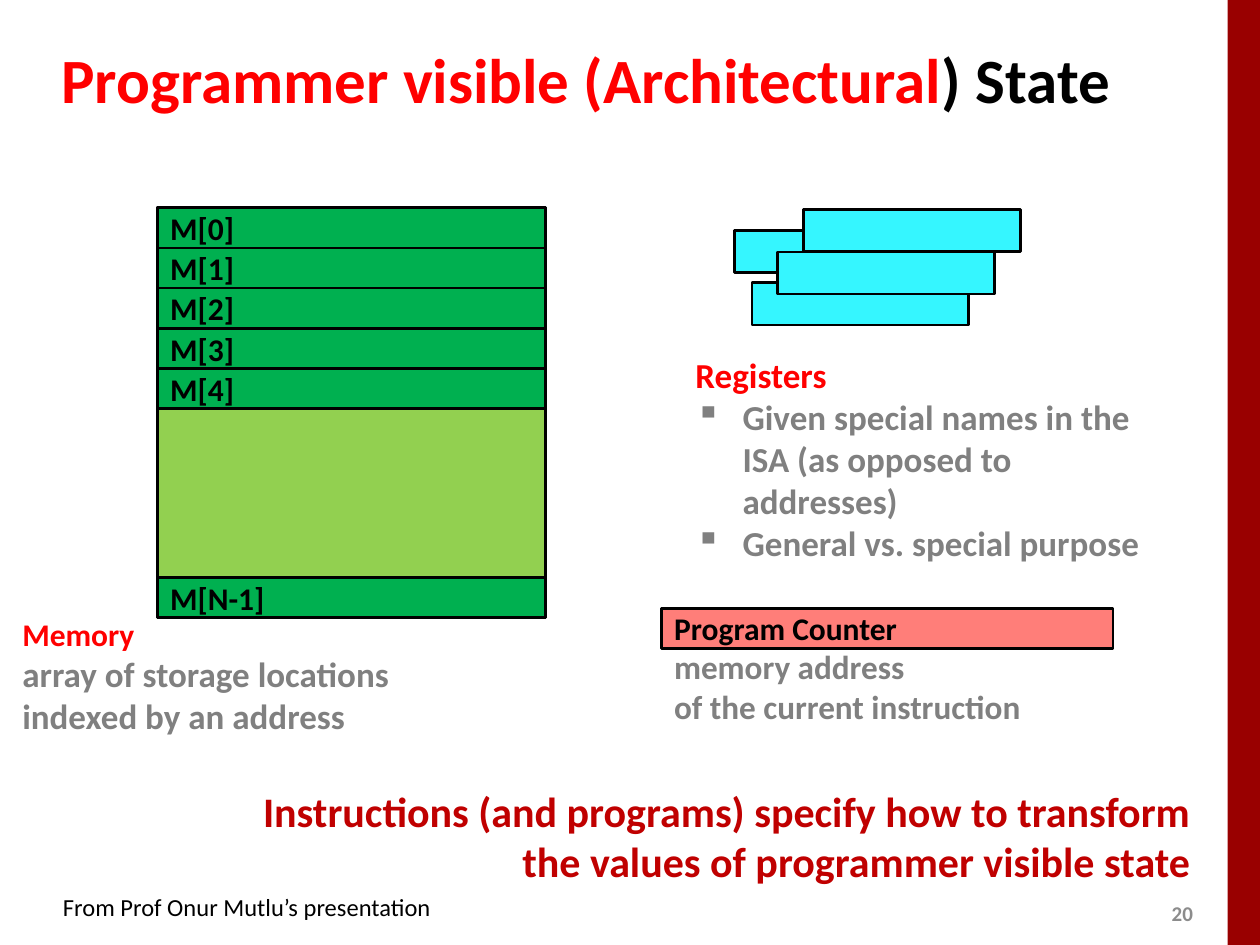
from pptx import Presentation
from pptx.util import Cm, Pt
from pptx.dml.color import RGBColor
from pptx.enum.shapes import MSO_SHAPE
from pptx.enum.text import MSO_ANCHOR, PP_ALIGN
from lxml.etree import SubElement
from pptx.oxml.ns import qn

RED, GRAY, BLACK = "FF0000", "808080", "000000"
GREEN, LIME, CYAN, PINK = "00B050", "92D050", "35F6FF", "FF7E79"


def rgb(code):
    return RGBColor.from_string(code)


def write(shape, lines, size=18, bold=True, wrap=True, align=PP_ALIGN.LEFT,
          anchor=MSO_ANCHOR.TOP, inset=(0.25, 0.13, 0.25, 0.13), bullets=()):
    """Each line is a list of runs: (text, colour) or (text, colour, size)."""
    frame = shape.text_frame
    frame.word_wrap = wrap
    frame.vertical_anchor = anchor
    (frame.margin_left, frame.margin_top,
     frame.margin_right, frame.margin_bottom) = map(Cm, inset)
    for i, line in enumerate(lines):
        para = frame.paragraphs[0] if i == 0 else frame.add_paragraph()
        para.alignment = align
        if i in bullets:
            props = para._p.get_or_add_pPr()
            props.set("marL", str(Cm(0.95)))
            props.set("indent", str(-Cm(0.95)))
            SubElement(props, qn("a:buChar")).set("char", "▪")
        for text, code, *own in line:
            run = para.add_run()
            run.text = text
            run.font.name = "Calibri"
            run.font.size = Pt(own[0] if own else size)
            run.font.bold = bold
            run.font.color.rgb = rgb(code)


deck = Presentation()
deck.slide_width, deck.slide_height = Cm(25.4), Cm(19.05)
slide = deck.slides.add_slide(deck.slide_layouts[6])
shapes = slide.shapes

# Side band
band = shapes.add_shape(MSO_SHAPE.RECTANGLE, Cm(24.75), 0, Cm(0.65), Cm(19.05))
band.shadow.inherit = False
band.fill.solid()
band.fill.fore_color.rgb = rgb("990000")
band.line.fill.background()

# Outlined boxes: memory, its cells, program counter, registers
left, top, wide, tall, cell = 3.18, 4.19, 7.82, 8.26, 0.81
boxes = [(left, top, wide, tall, LIME, [])]
for i in range(5):
    boxes.append((left, top + i * cell, wide, cell, GREEN, [[(f"M[{i}]", BLACK)]]))
boxes.append((left, top + tall - cell, wide, cell, GREEN, [[("M[N-1]", BLACK)]]))
boxes.append((13.34, 12.27, 9.1, 0.8, PINK, [
    [("Program Counter", BLACK)],
    [("memory address", GRAY, 19)],
    [("of the current instruction", GRAY, 19)]]))
for x, y in [(14.81, 4.65), (15.16, 5.7), (15.68, 5.08), (16.2, 4.22)]:
    boxes.append((x, y, 4.37, 0.85, CYAN, []))

for x, y, w, h, fill, lines in boxes:
    box = shapes.add_shape(MSO_SHAPE.RECTANGLE, Cm(x), Cm(y), Cm(w), Cm(h))
    box.shadow.inherit = False
    box.fill.solid()
    box.fill.fore_color.rgb = rgb(fill)
    box.line.color.rgb = rgb(BLACK)
    box.line.width = Pt(1.5)
    if fill == PINK:
        write(box, lines, wrap=False, inset=(0.25, 0, 0.25, 0.13))
    elif lines:
        write(box, lines, wrap=False, anchor=MSO_ANCHOR.MIDDLE)

# Title, labels, message, source and page number
texts = [
    ((0.99, 0.53, 23.24, 2.11),
     [[("Programmer visible (Architectural", RED), (") State", BLACK)]],
     dict(size=36, anchor=MSO_ANCHOR.MIDDLE)),
    ((0.2, 12.27, 13.54, 2.74),
     [[("Memory", RED, 18)],
      [("array of storage locations", GRAY)],
      [("indexed by an address", GRAY)]],
     dict(size=20)),
    ((13.77, 6.99, 9.75, 5.38),
     [[("Registers", RED)],
      [("Given special names in the ISA (as opposed to addresses)", GRAY)],
      [("General vs. special purpose", GRAY)]],
     dict(size=20, bullets=(1, 2))),
    ((4.85, 15.7, 19.4, 2.31),
     [[("Instructions (and programs) specify how to transform", "C00000")],
      [("the values of programmer visible state", "C00000")]],
     dict(size=24, wrap=False, align=PP_ALIGN.RIGHT)),
    ((1.27, 17.98, 7.49, 0.61),
     [[("From Prof Onur Mutlu’s presentation", BLACK)]],
     dict(size=14, bold=False, wrap=False, inset=(0, 0, 0, 0))),
    ((23.37, 18.03, 1.02, 0.76),
     [[("20", "8C8C8C")]],
     dict(size=12, wrap=False, anchor=MSO_ANCHOR.MIDDLE)),
]
for spot, lines, form in texts:
    write(shapes.add_textbox(*map(Cm, spot)), lines, **form)

deck.save("out.pptx")
